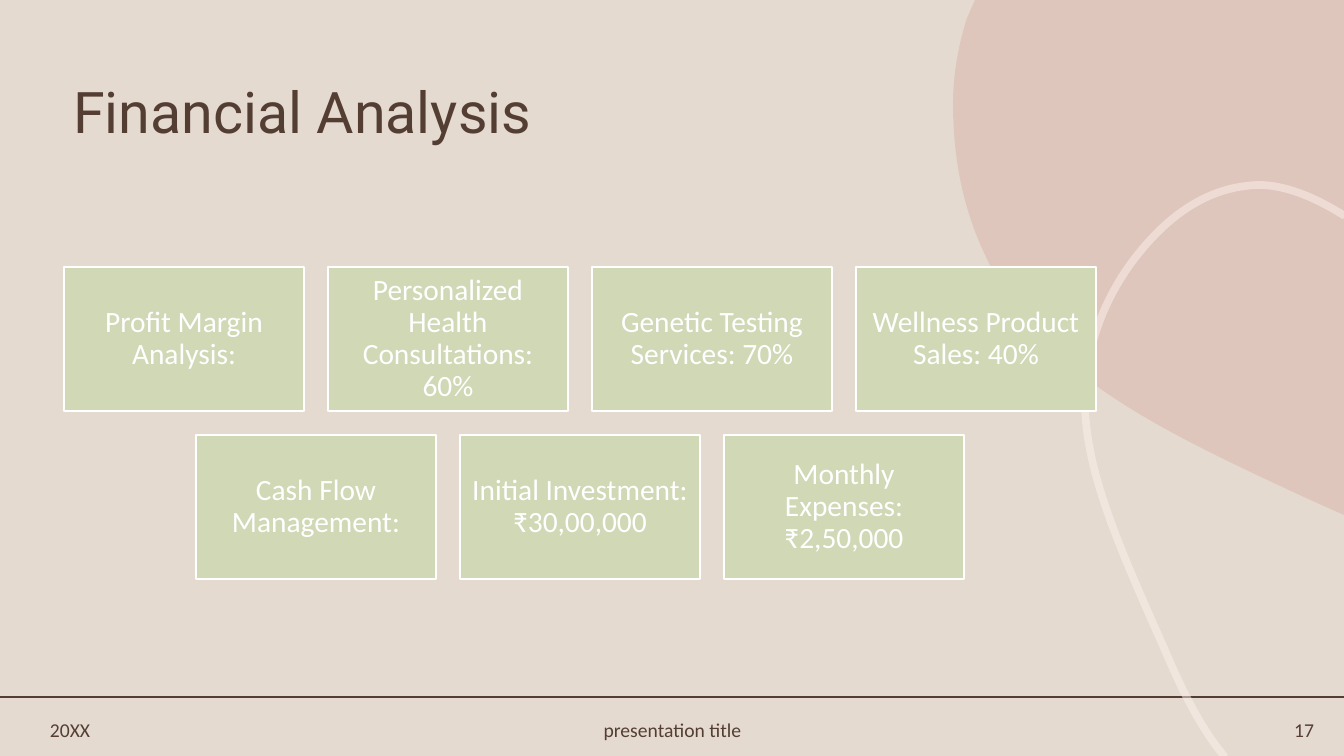
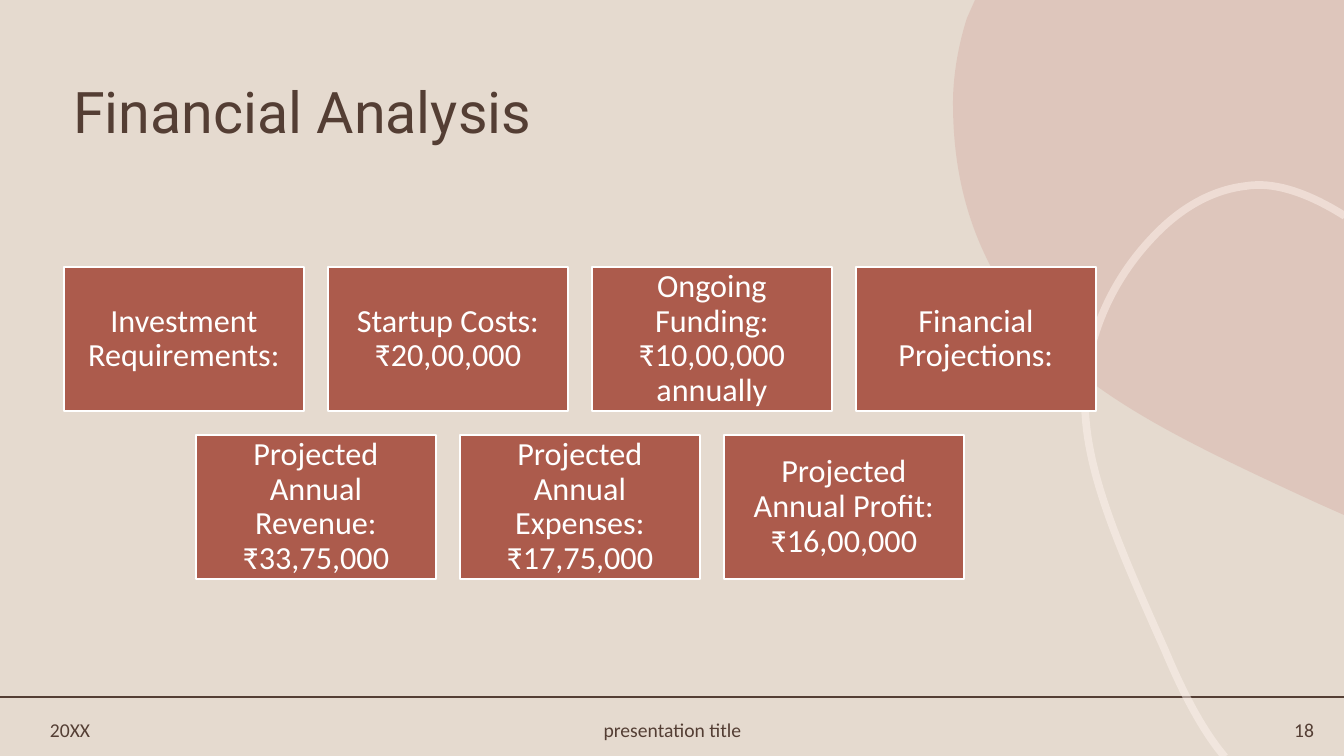
from lxml.etree import SubElement
from pptx import Presentation
from pptx.dml.color import RGBColor
from pptx.enum.shapes import MSO_CONNECTOR, MSO_SHAPE
from pptx.enum.text import MSO_ANCHOR, MSO_AUTO_SIZE, PP_ALIGN
from pptx.oxml.ns import qn
from pptx.util import Pt

WIDE, HIGH = 1344, 756
PX = 12192000 / WIDE
HUES = {
    "sand": "E5DACF",
    "brown": "543E34",
    "rose": "CF9B92",
    "cream": "FEF3ED",
    "green": "D0D8B6",
    "rust": "AC5B4C",
    "white": "FFFFFF",
}
INK = {name: RGBColor.from_string(code) for name, code in HUES.items()}
LEFT, TOP = 64, 267
BOX_W, BOX_H, GAP = 240, 144, 24

BLOB = [
    ("moveTo", (975, 0)),
    ("lnTo", (1344, 0)),
    ("lnTo", (1344, 515)),
    ("lnTo", (1317, 503)),
    ("cubicBezTo", (1145, 424), (1040, 372), (986, 257)),
    ("cubicBezTo", (956, 195), (953, 136), (953, 102)),
    ("cubicBezTo", (953, 80), (957, 49), (967, 18)),
    ("close",),
]
LOOP = [
    ("moveTo", (1225, 757)),
    ("cubicBezTo", (1208, 737), (1188, 705), (1165, 650)),
    ("cubicBezTo", (1103, 511), (1066, 427), (1095, 335)),
    ("cubicBezTo", (1110, 287), (1136, 255), (1153, 237)),
    ("cubicBezTo", (1170, 219), (1202, 191), (1246, 186)),
    ("cubicBezTo", (1251, 185), (1257, 185), (1262, 185)),
    ("cubicBezTo", (1289, 186), (1318, 199), (1345, 216)),
]
FOOT = [(40, 109, PP_ALIGN.LEFT), (483, 379, PP_ALIGN.CENTER), (1215, 109, PP_ALIGN.RIGHT)]
PAGES = [
    ("17", "green", 21, 9, [
        ["Profit Margin Analysis:", "Personalized Health Consultations: 60%",
         "Genetic Testing Services: 70%", "Wellness Product Sales: 40%"],
        ["Cash Flow Management:", "Initial Investment: ₹30,00,000",
         "Monthly Expenses: ₹2,50,000"],
    ]),
    ("18", "rust", 23, 10, [
        ["Investment Requirements:", "Startup Costs: ₹20,00,000",
         "Ongoing Funding: ₹10,00,000 annually", "Financial Projections:"],
        ["Projected Annual Revenue: ₹33,75,000", "Projected Annual Expenses: ₹17,75,000",
         "Projected Annual Profit: ₹16,00,000"],
    ]),
]


def trace(shapes, steps, left, top, right, bottom):
    pen = shapes.build_freeform(left, top, scale=PX)
    pen.add_line_segments([(right, bottom)], close=False)
    form = pen.convert_to_shape()
    form.shadow.inherit = False
    route = next(form._element.spPr.iter(qn("a:path")))
    for node in list(route):
        route.remove(node)
    for kind, *spots in steps:
        node = SubElement(route, qn("a:" + kind))
        for x, y in spots:
            SubElement(node, qn("a:pt"), x=str(x - left), y=str(y - top))
    return form


def write(frame, text, size, hue, align, font="Calibri", space=1.0):
    frame.word_wrap = True
    frame.auto_size = MSO_AUTO_SIZE.NONE
    frame.vertical_anchor = MSO_ANCHOR.MIDDLE
    para = frame.paragraphs[0]
    para.alignment = align
    para.line_spacing = space
    run = para.add_run()
    run.text = text
    run.font.size = Pt(size)
    run.font.name = font
    run.font.color.rgb = INK[hue]


deck = Presentation()
deck.slide_width = round(WIDE * PX)
deck.slide_height = round(HIGH * PX)
back = deck.slide_master.background.fill
back.solid()
back.fore_color.rgb = INK["sand"]

for page, hue, size, inset, rows in PAGES:
    slide = deck.slides.add_slide(deck.slide_layouts[5])
    shapes = slide.shapes

    title = shapes.title
    title.left, title.top, title.width, title.height = [round(v * PX) for v in (63, 77, 1159, 75)]
    write(title.text_frame, "Financial Analysis", 41, "brown", PP_ALIGN.LEFT, "Roboto", 0.9)

    rule = shapes.add_connector(MSO_CONNECTOR.STRAIGHT, 0, round(697 * PX),
                                round(WIDE * PX), round(697 * PX))
    rule.line.color.rgb = INK["brown"]
    rule.line.width = Pt(1.25)
    SubElement(rule._element.spPr, qn("a:effectLst"))

    blob = trace(shapes, BLOB, 953, 0, 1344, 515)
    blob.fill.solid()
    blob.fill.fore_color.rgb = INK["rose"]
    blob.line.fill.background()

    loop = trace(shapes, LOOP, 1086, 185, 1345, 757)
    loop.fill.background()
    loop.line.color.rgb = INK["cream"]
    loop.line.width = Pt(5.5)

    for form, alpha in ((blob, 30000), (loop, 50000)):
        tint = next(form._element.spPr.iter(qn("a:srgbClr")))
        SubElement(tint, qn("a:alpha"), val=str(alpha))

    for (x, width, align), text in zip(FOOT, ("20XX", "presentation title", page)):
        note = shapes.add_textbox(*[round(v * PX) for v in (x, 713, width, 34)])
        write(note.text_frame, text, 14, "brown", align)

    for level, row in enumerate(rows):
        start = LEFT + (len(rows[0]) - len(row)) * (BOX_W + GAP) / 2
        y = TOP + level * (BOX_H + GAP)
        for col, text in enumerate(row):
            x = start + col * (BOX_W + GAP)
            box = shapes.add_shape(MSO_SHAPE.RECTANGLE,
                                   *[round(v * PX) for v in (x, y, BOX_W, BOX_H)])
            box.shadow.inherit = False
            box.fill.solid()
            box.fill.fore_color.rgb = INK[hue]
            box.line.color.rgb = INK["white"]
            box.line.width = Pt(1)
            frame = box.text_frame
            frame.margin_left = frame.margin_right = round(inset * PX)
            frame.margin_top = frame.margin_bottom = round(inset * PX)
            write(frame, text, size, "white", PP_ALIGN.CENTER, space=0.9)

deck.save("out.pptx")
